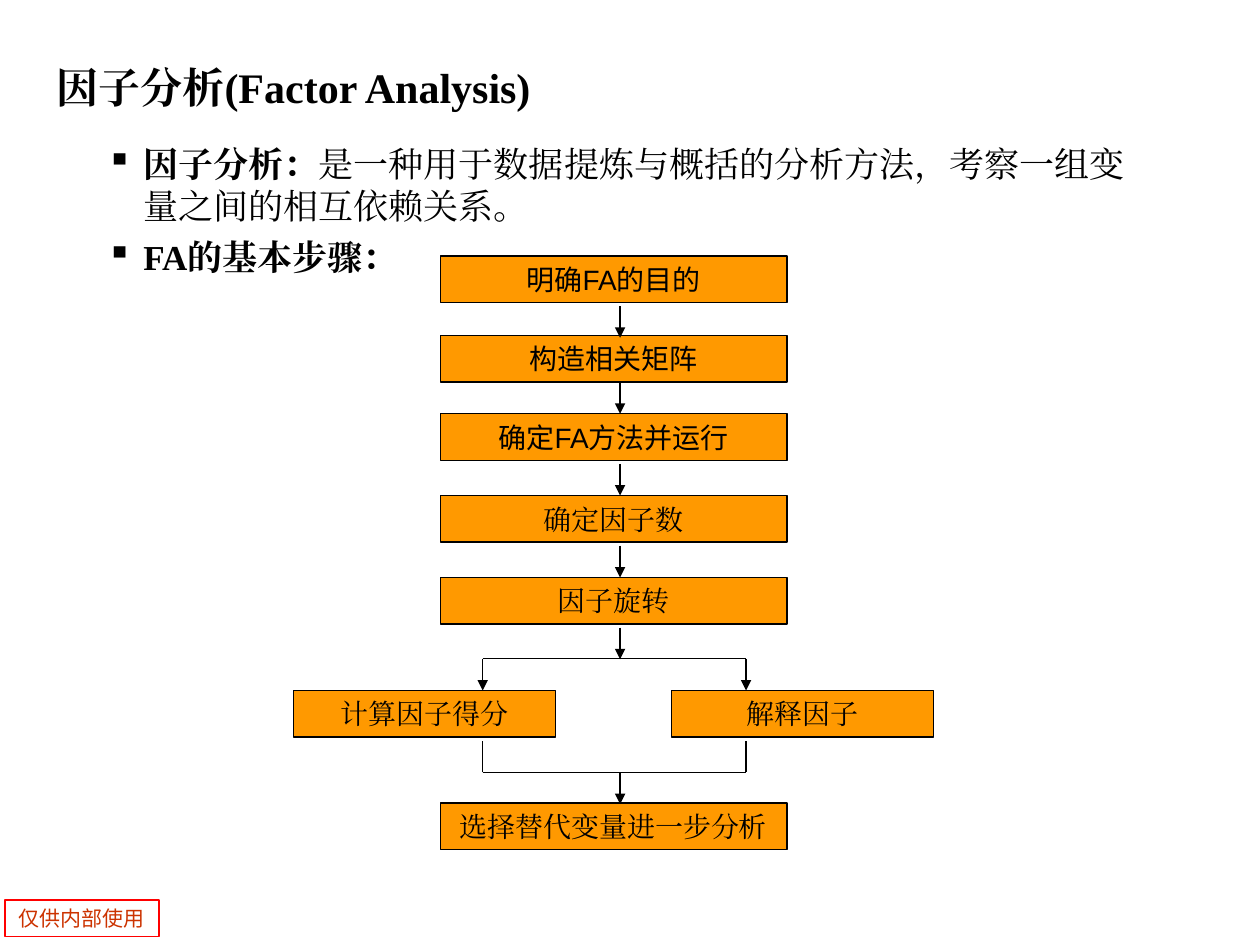
import pptx
import pptx.util
import pptx.dml.color
import pptx.enum.shapes
import pptx.enum.text
import pptx.oxml
import pptx.oxml.ns

Cm, Pt = pptx.util.Cm, pptx.util.Pt
RGB = pptx.dml.color.RGBColor
ALIGN, ANCHOR = pptx.enum.text.PP_ALIGN, pptx.enum.text.MSO_ANCHOR
qn = pptx.oxml.ns.qn

BLACK = RGB(0x00, 0x00, 0x00)
RED = RGB(0xFF, 0x00, 0x00)
RUST = RGB(0xCC, 0x33, 0x00)
ORANGE = RGB(0xFF, 0x99, 0x00)

SERIF, SANS, HAN = "Times New Roman", "Arial", "Noto Sans CJK SC"
INSET = dict(margin_left=Cm(0.25), margin_right=Cm(0.25),
             margin_top=Cm(0.13), margin_bottom=Cm(0.13), word_wrap=True)


def apply(item, values):
    for name, value in values.items():
        setattr(item, name, value)


def add_run(para, text, face, size, color=BLACK, bold=False):
    run = para.add_run()
    run.text = text
    apply(run.font, dict(name=face, size=Pt(size), bold=bold))
    run.font.color.rgb = color
    east = pptx.oxml.parse_xml(f'<a:ea {pptx.oxml.ns.nsdecls("a")}/>')
    east.set("typeface", face)
    run.font._element.append(east)


def add_text(slide, box, anchor):
    frame = slide.shapes.add_textbox(*map(Cm, box)).text_frame
    apply(frame, dict(INSET, vertical_anchor=anchor))
    return frame


def add_box(slide, box, text, face, size=16, color=BLACK,
            fill=None, edge=BLACK, width=0.75):
    shape = slide.shapes.add_shape(
        pptx.enum.shapes.MSO_SHAPE.RECTANGLE, *map(Cm, box))
    shape.shadow.inherit = False
    if fill is None:
        shape.fill.background()
    else:
        shape.fill.solid()
        shape.fill.fore_color.rgb = fill
    shape.line.color.rgb = edge
    shape.line.width = Pt(width)
    apply(shape.text_frame, dict(INSET, vertical_anchor=ANCHOR.MIDDLE))
    para = shape.text_frame.paragraphs[0]
    para.alignment = ALIGN.CENTER
    add_run(para, text, face, size, color)


def add_line(slide, start, end, arrow=False):
    line = slide.shapes.add_connector(
        pptx.enum.shapes.MSO_CONNECTOR.STRAIGHT, *map(Cm, (*start, *end)))
    line.line.color.rgb = BLACK
    line.line.width = Pt(0.75)
    if arrow:
        tail = line.line._get_or_add_ln().makeelement(
            qn("a:tailEnd"), {"type": "triangle"})
        line.line._get_or_add_ln().append(tail)
    props = line._element.spPr
    props.append(props.makeelement(qn("a:effectLst"), {}))


def add_title(slide, box):
    frame = add_text(slide, box, ANCHOR.MIDDLE)
    add_run(frame.paragraphs[0], "因子分析(Factor Analysis)", SERIF, 24, bold=True)


def add_bullet(para):
    props = para._p.get_or_add_pPr()
    apply(para, dict(space_before=Pt(5)))
    props.set("marL", str(Cm(0.74)))
    props.set("indent", str(-Cm(0.74)))
    props.append(props.makeelement(qn("a:buChar"), {"char": "▪"}))


def add_body(slide, box):
    frame = add_text(slide, box, ANCHOR.TOP)
    points = [
        ("因子分析：", "是一种用于数据提炼与概括的分析方法，考察一组变量之间的相互依赖关系。"),
        ("FA的基本步骤：", ""),
    ]
    for i, (head, rest) in enumerate(points):
        para = frame.add_paragraph() if i else frame.paragraphs[0]
        add_bullet(para)
        add_run(para, head, SERIF, 20, bold=True)
        if rest:
            add_run(para, rest, SERIF, 20)


def add_flow(slide, box):
    """Draw the steps down the middle, with a split and a merge near the end."""
    left, top, wide, high = box
    tall, gap = 0.94, 0.64
    main, side = 6.99, 5.28
    mid = left + (wide - main) / 2
    axis = left + 6.58
    forks = (left + 3.81, left + 9.12)
    split, merge = top + 8.12, top + 10.41
    last = top + high - tall

    def step(x, y, width, text, face):
        add_box(slide, (x, y, width, tall), text, face, fill=ORANGE)

    steps = [
        (0, "明确FA的目的", SANS),
        (1.6, "构造相关矩阵", SANS),
        (3.18, "确定FA方法并运行", SANS),
        (4.83, "确定因子数", SERIF),
        (6.48, "因子旋转", SERIF),
    ]
    for y, text, face in steps:
        step(mid, top + y, main, text, face)
    step(left, split + gap, side, "计算因子得分", SERIF)
    step(left + wide - side, split + gap, side, "解释因子", SERIF)
    step(mid, last, main, "选择替代变量进一步分析", SERIF)

    for y in (1.01, 2.54, 4.19, 5.84, 7.49, 10.41):
        add_line(slide, (axis, top + y), (axis, top + y + gap), arrow=True)
    for x in forks:
        add_line(slide, (x, split), (x, split + gap), arrow=True)
        add_line(slide, (x, merge), (x, merge - gap))
    for y in (split, merge):
        add_line(slide, (forks[0], y), (forks[1], y))


def add_stamp(slide, box):
    add_box(slide, box, "仅供内部使用", HAN, size=12, color=RUST,
            edge=RED, width=1)


def main():
    deck = pptx.Presentation()
    apply(deck, dict(slide_width=Cm(25.4), slide_height=Cm(19.05)))
    slide = deck.slides.add_slide(deck.slide_layouts[6])
    add_stamp(slide, (0.1, 18.14, 3.1, 0.74))
    add_title(slide, (0.89, 0.58, 24, 2.34))
    add_body(slide, (1.9, 2.74, 21.6, 3.18))
    add_flow(slide, (5.92, 5.16, 12.9, 11.97))
    deck.save("out.pptx")


if __name__ == "__main__":
    main()
